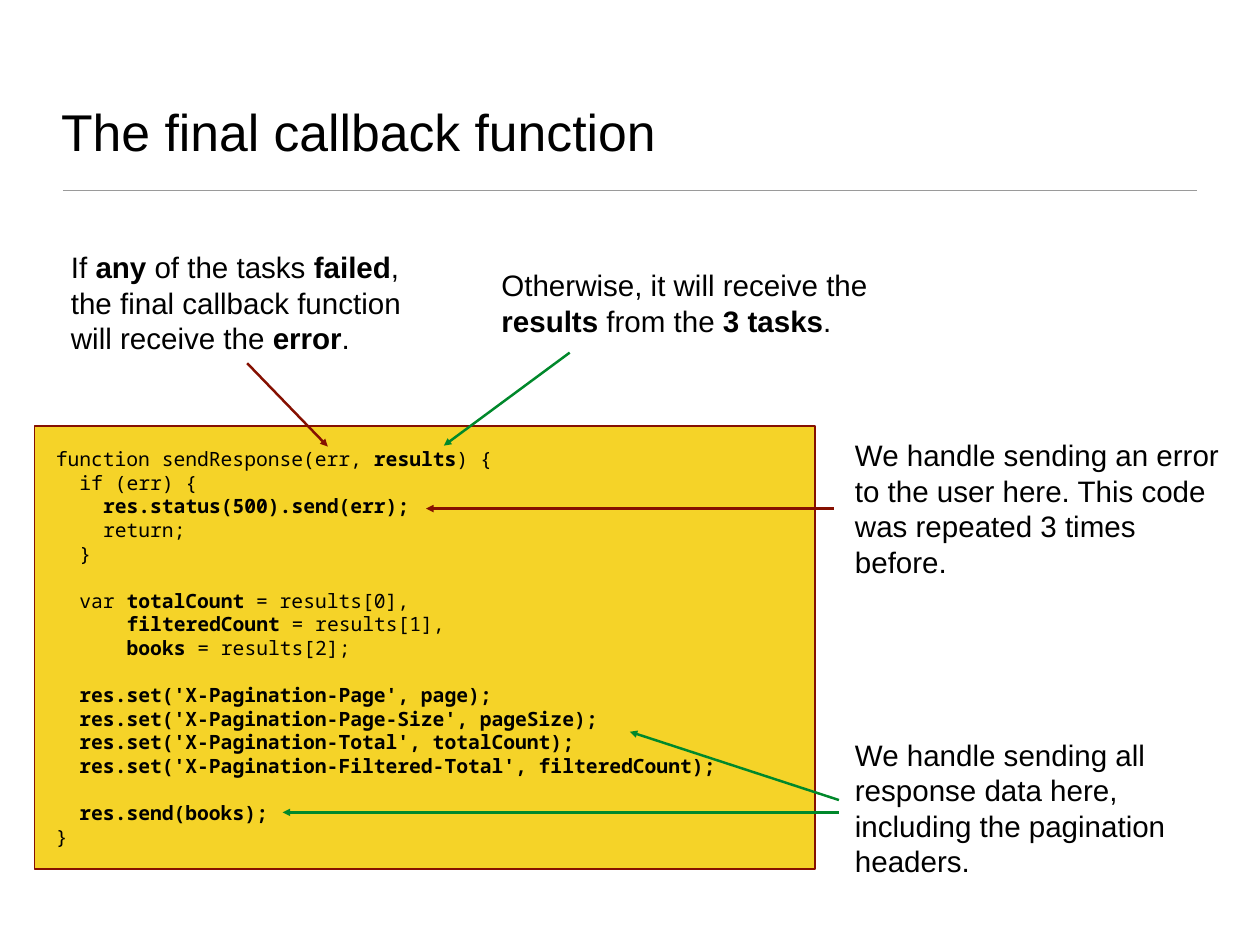
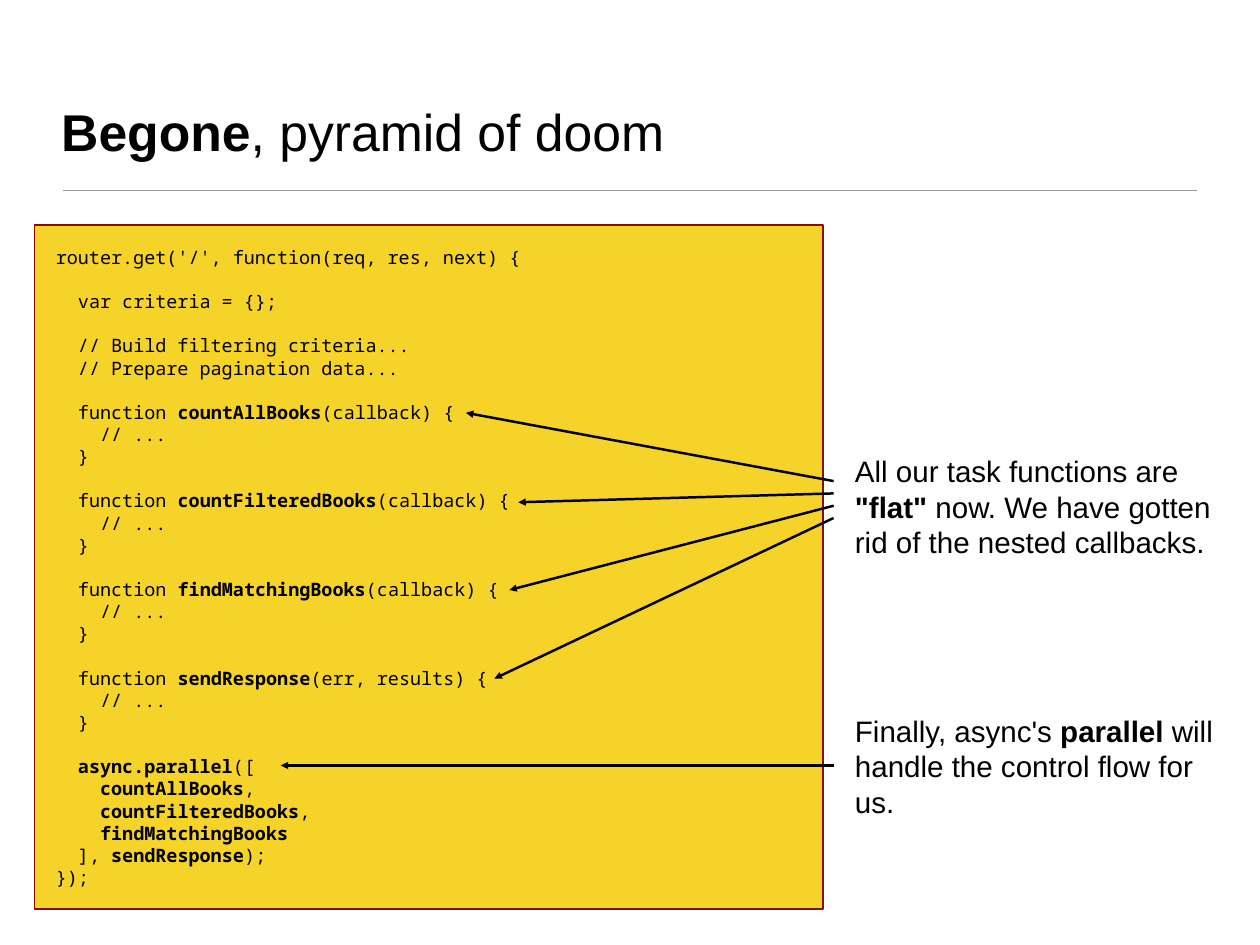
from lxml import etree
from pptx import Presentation
from pptx.dml.color import RGBColor
from pptx.enum import shapes, text
from pptx.oxml.ns import qn
from pptx.util import Pt

COLORS = {
    "ink": "000000",
    "rule": "9A9A9A",
    "panel": "F5D328",
    "error": "851001",
    "success": "00882B",
}
BODY_FONT, CODE_FONT = "Arial", "Noto Sans Mono"
TITLE_BOX = (45.4, 25.9, 934, 110.2)
NOTE_WIDTH = 313.2
NOTE_LEFT = 690.5
CHAR_WIDTH, LINE_HEIGHT = 0.6, 1.2  # code metrics, in ems

# Words between asterisks are bold.
SEND_RESPONSE = """\
function sendResponse(err, *results*) {
  if (err) {
    *res.status(500).send(err);*
    return;
  }

  var *totalCount* = results[0],
      *filteredCount* = results[1],
      *books* = results[2];

  *res.set('X-Pagination-Page', page);*
  *res.set('X-Pagination-Page-Size', pageSize);*
  *res.set('X-Pagination-Total', totalCount);*
  *res.set('X-Pagination-Filtered-Total', filteredCount);*

  *res.send(books);*
}"""

FLAT_ROUTE = """\
router.get('/', function(req, res, next) {

  var criteria = {};

  // Build filtering criteria...
  // Prepare pagination data...

  function *countAllBooks*(callback) {
    // ...
  }

  function *countFilteredBooks*(callback) {
    // ...
  }

  function *findMatchingBooks*(callback) {
    // ...
  }

  function *sendResponse*(err, results) {
    // ...
  }

  *async.parallel*([
    *countAllBooks*,
    *countFilteredBooks*,
    *findMatchingBooks*
  ], *sendResponse*);
});"""


def color(name):
    return RGBColor.from_string(COLORS[name])


def points(values):
    return [Pt(value) for value in values]


def write_marked(paragraph, marked, font, size):
    """Write text whose parts between asterisks are bold."""
    paragraph.alignment = text.PP_ALIGN.LEFT
    for i, part in enumerate(marked.split("*")):
        if part:
            run = paragraph.add_run()
            run.text = part
            run.font.name = font
            run.font.size = Pt(size)
            run.font.bold = i % 2 == 1
            run.font.color.rgb = color("ink")


def set_frame(frame, inset, anchor):
    frame.word_wrap = True
    frame.vertical_anchor = anchor
    frame.margin_left = frame.margin_right = Pt(inset)
    frame.margin_top = frame.margin_bottom = Pt(inset)


def add_text(slide, box, marked, size, anchor):
    frame = slide.shapes.add_textbox(*points(box)).text_frame
    set_frame(frame, 4.32, anchor)
    write_marked(frame.paragraphs[0], marked, BODY_FONT, size)


def add_line(slide, start, end, color_name, width, arrow=False):
    line = slide.shapes.add_connector(
        shapes.MSO_CONNECTOR.STRAIGHT, *points((*start, *end)))
    line.line.color.rgb = color(color_name)
    line.line.width = Pt(width)
    if arrow:
        etree.SubElement(line.line._get_or_add_ln(), qn("a:tailEnd"), type="triangle")
    etree.SubElement(line._element.spPr, qn("a:effectLst"))


def add_titled_slide(deck, title):
    slide = deck.slides.add_slide(deck.slide_layouts[6])
    add_line(slide, (51.2, 154.8), (972.8, 154.8), "rule", 1)
    add_text(slide, TITLE_BOX, title, 42, text.MSO_ANCHOR.BOTTOM)
    return slide


def add_code_panel(slide, box, code, size):
    """Show code, turning leading spaces into indents and empty lines into spacing."""
    panel = slide.shapes.add_shape(shapes.MSO_SHAPE.RECTANGLE, *points(box))
    panel.shadow.inherit = False
    panel.fill.solid()
    panel.fill.fore_color.rgb = color("panel")
    panel.line.color.rgb = color("error")
    panel.line.width = Pt(1)
    frame = panel.text_frame
    set_frame(frame, 17.28, text.MSO_ANCHOR.MIDDLE)
    paragraph, gap = frame.paragraphs[0], 0
    for number, line in enumerate(code.splitlines()):
        if not line:
            gap += size * LINE_HEIGHT
            continue
        if number:
            paragraph = frame.add_paragraph()
        statement = line.lstrip()
        indent = (len(line) - len(statement)) * size * CHAR_WIDTH
        paragraph._p.get_or_add_pPr().set("marL", str(Pt(indent)))
        paragraph.space_before = Pt(gap)
        write_marked(paragraph, statement, CODE_FONT, size)
        gap = 0


def add_note(slide, left, top, height, marked, arrow_color, arrows):
    """Add a note and its arrows: (offset from the note's corner, target on the slide)."""
    add_text(slide, (left, top, NOTE_WIDTH, height), marked, 24, text.MSO_ANCHOR.MIDDLE)
    for (dx, dy), target in arrows:
        add_line(slide, (left + dx, top + dy), target, arrow_color, 2, arrow=True)


def build_final_callback(deck):
    slide = add_titled_slide(deck, "The final callback function")
    add_code_panel(slide, (28.1, 346.3, 634.3, 360), SEND_RESPONSE, 16)
    add_note(slide, 53.3, 198.7, 94.3,
             "If *any* of the tasks *failed*, the final callback function "
             "will receive the *error*.",
             "error", [((147.6, 96.5), (266.4, 362.9))])
    add_note(slide, 403.2, 198.7, 94.3,
             "Otherwise, it will receive the *results* from the *3 tasks*.",
             "success", [((59.8, 87.9), (360.7, 362.2))])
    add_note(slide, NOTE_LEFT, 351.4, 123.1,
             "We handle sending an error to the user here. "
             "This code was repeated 3 times before.",
             "error", [((-13, 61.9), (346.3, 413.3))])
    add_note(slide, NOTE_LEFT, 594.7, 123.1,
             "We handle sending all response data here, "
             "including the pagination headers.",
             "success", [((-8.7, 55.5), (511.9, 594.7)),
                         ((-8.7, 65.5), (229.7, 660.2))])


def build_flat_route(deck):
    slide = add_titled_slide(deck, "*Begone*, pyramid of doom")
    add_code_panel(slide, (28.1, 182.9, 640.8, 555.8), FLAT_ROUTE, 15)
    add_note(slide, NOTE_LEFT, 575.3, 94.3,
             "Finally, async's *parallel* will handle the control flow for us.",
             "ink", [((-13, 46.8), (228.2, 622.1))])
    task_heads = [(378.7, 335.5), (421.2, 408.2), (414, 479.5), (401.8, 551.5)]
    add_note(slide, NOTE_LEFT, 364.3, 94.3,
             'All our task functions are *"flat"* now. '
             "We have gotten rid of the nested callbacks.",
             "ink", [((-13, 26.7 + 10 * i), head) for i, head in enumerate(task_heads)])


def main():
    deck = Presentation()
    deck.slide_width, deck.slide_height = points((1024, 768))
    build_final_callback(deck)
    build_flat_route(deck)
    deck.save("out.pptx")


if __name__ == "__main__":
    main()
